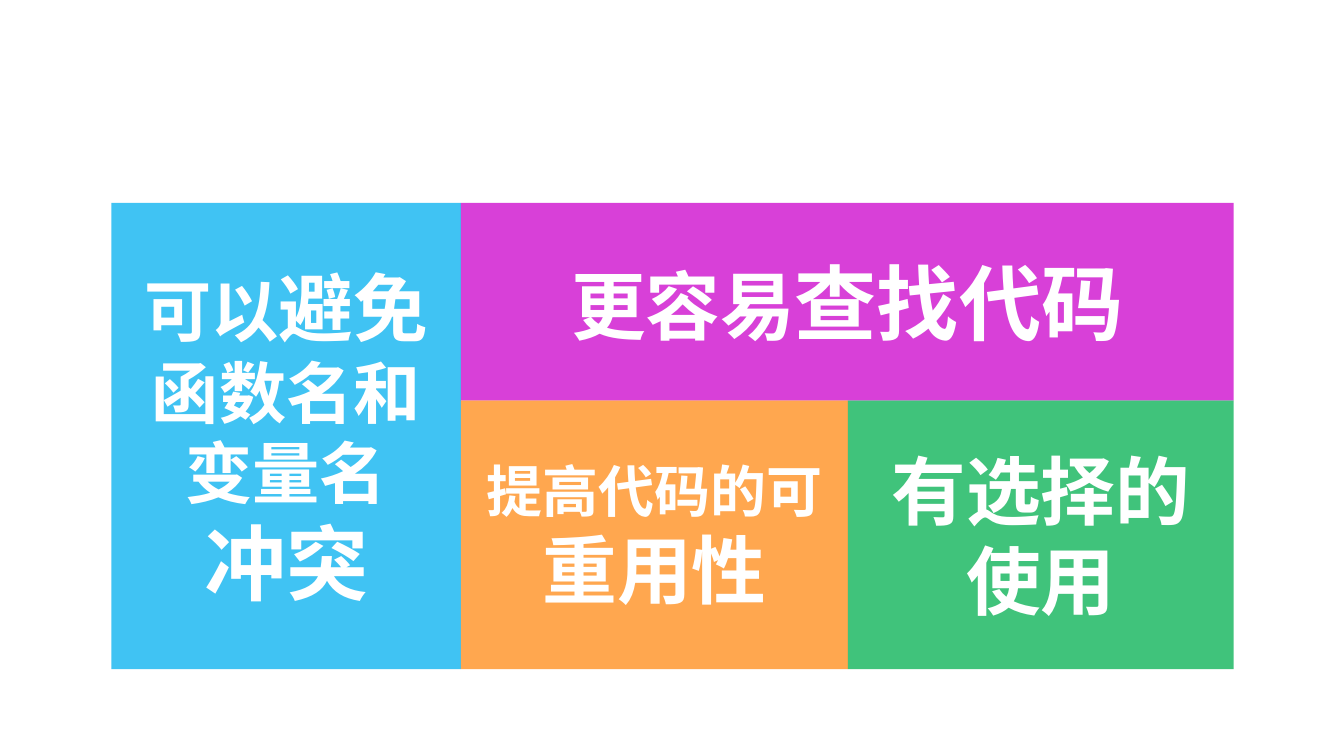
from lxml.etree import SubElement
from pptx import Presentation
from pptx.dml.color import RGBColor
from pptx.enum.lang import MSO_LANGUAGE_ID
from pptx.enum.shapes import MSO_SHAPE
from pptx.enum.text import MSO_ANCHOR, PP_ALIGN
from pptx.oxml.ns import qn
from pptx.util import Inches, Pt

FONT = "Noto Sans CJK SC"
WIDTH = 10
HEIGHT = WIDTH * 9 / 16
COLS = (0.83, 3.43, 6.31, 9.18)
ROWS = (1.51, 2.98, 4.98)


def paint(fmt, color, alpha=100):
    fill = getattr(fmt, "fill", fmt)
    fill.solid()
    fill.fore_color.rgb = RGBColor.from_string(color)
    if alpha < 100:
        tone = fill._xPr.find(qn("a:solidFill"))[0]
        SubElement(tone, qn("a:alpha"), val=str(alpha * 1000))


def write(para, text, size=40, color="FFFFFF", bold=True, font=FONT):
    run = para.add_run()
    run.text = text
    face = run.font
    face.size = Pt(size)
    face.bold = bold
    face.language_id = MSO_LANGUAGE_ID.SIMPLIFIED_CHINESE
    paint(face, color)
    face.name = font
    SubElement(run._r.get_or_add_rPr(), qn("a:ea"), typeface=font)


def tile(slide, col, row, color, lines, wide=1, tall=1, pad=0.1):
    left, top = COLS[col], ROWS[row]
    width, height = COLS[col + wide] - left, ROWS[row + tall] - top
    box = slide.shapes.add_shape(
        MSO_SHAPE.RECTANGLE, *map(Inches, (left, top, width, height)))
    box.shadow.inherit = False
    box.line.fill.background()
    paint(box, color, alpha=75)
    frame = box.text_frame
    frame.word_wrap = True
    frame.vertical_anchor = MSO_ANCHOR.MIDDLE
    frame.margin_left = frame.margin_right = Inches(pad)
    for i, runs in enumerate(lines):
        para = frame.add_paragraph() if i else frame.paragraphs[0]
        para.alignment = PP_ALIGN.CENTER
        for text, size in runs:
            write(para, text, size=size)


def main():
    deck = Presentation()
    deck.slide_width, deck.slide_height = Inches(WIDTH), Inches(HEIGHT)
    slide = deck.slides.add_slide(deck.slide_layouts[6])
    tile(slide, 0, 0, "00B0F0", [
        [("可以", 36), ("避免", 40), ("函数名和变量名", 36)],
        [("冲突", 44)],
    ], tall=2)
    tile(slide, 1, 1, "FF8A15", [[("提高代码的可", 30), ("重用性", 40)]], pad=0)
    tile(slide, 2, 1, "00B050", [[("有选择的使用", 40)]])
    tile(slide, 1, 0, "CC00CC", [[("更容易", 40), ("查找代码", 44)]], wide=2)
    deck.save("out.pptx")


if __name__ == "__main__":
    main()
